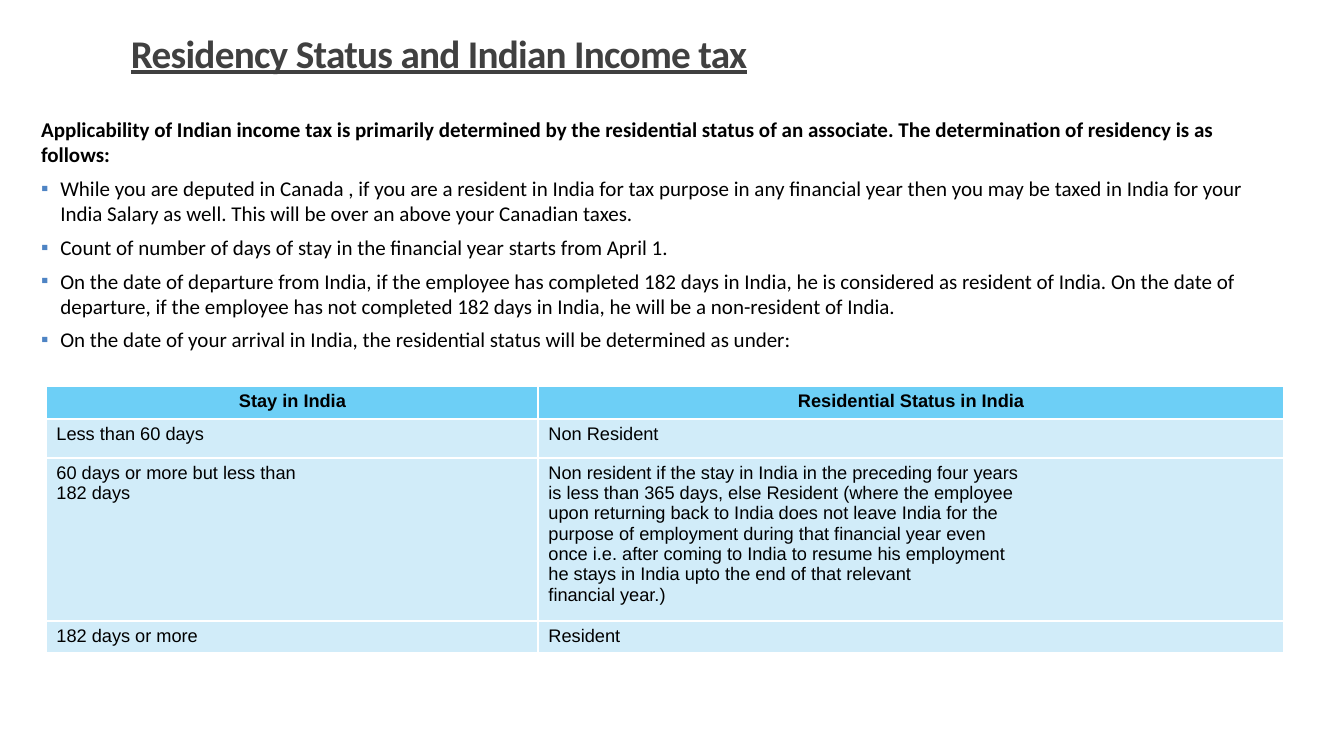
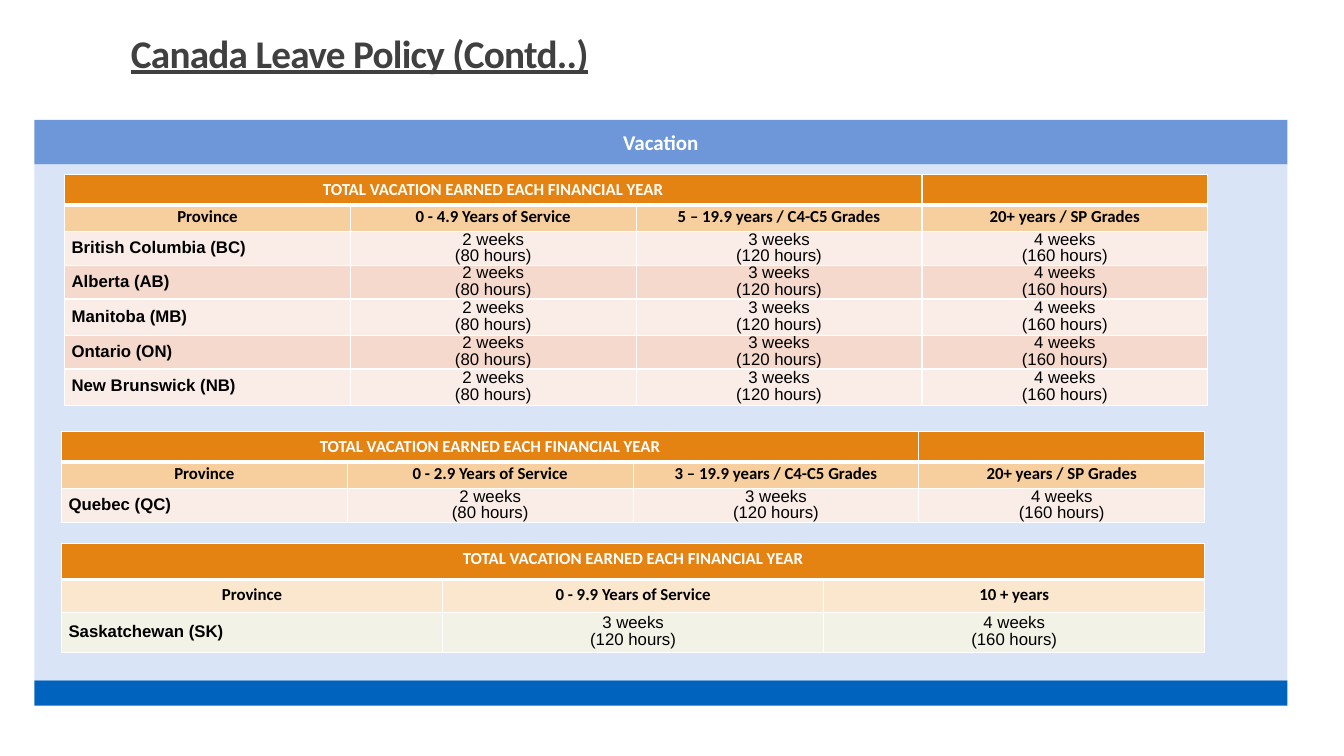
from dataclasses import dataclass

from lxml import etree
from pptx import Presentation
from pptx.dml.color import RGBColor
from pptx.enum.shapes import MSO_SHAPE
from pptx.enum.text import MSO_ANCHOR, PP_ALIGN
from pptx.oxml.ns import qn
from pptx.util import Inches, Pt

BLACK = RGBColor(0x00, 0x00, 0x00)
WHITE = RGBColor(0xFF, 0xFF, 0xFF)
TITLE_GRAY = RGBColor(0x40, 0x40, 0x40)
BULLET_BLUE = RGBColor(0x4E, 0x84, 0xC4)
SKY = RGBColor(0x6D, 0xCF, 0xF6)
PALE_SKY = RGBColor(0xD1, 0xEC, 0xF9)
BANNER_BLUE = RGBColor(0x6D, 0x97, 0xD8)
FOOTER_BLUE = RGBColor(0x00, 0x63, 0xBE)
PANEL_BLUE = RGBColor(0xC1, 0xD2, 0xF1)
ORANGE = RGBColor(0xE4, 0x83, 0x12)
LIGHT_ORANGE = RGBColor(0xF7, 0xCE, 0x9D)
PALE_ORANGE = RGBColor(0xFB, 0xE6, 0xCE)
LIGHT_PINK = RGBColor(0xFA, 0xED, 0xE7)
PINK = RGBColor(0xF5, 0xD9, 0xCC)
IVORY = RGBColor(0xF3, 0xF2, 0xE6)

PANEL_LEFT, PANEL_WIDTH = 0.34, 12.43
VACATION_WIDTH = 11.34
HOURS_PER_WEEK = 40

INTRODUCTION = (
    "Applicability of Indian income tax is primarily determined by the residential "
    "status of an associate. The determination of residency is as follows:"
)
RESIDENCY_RULES = [
    "While you are deputed in Canada , if you are a resident in India for tax purpose "
    "in any financial year then you may be taxed in India for your India Salary as well. "
    "This will be over an above your Canadian taxes.",
    "Count of number of days of stay in the financial year starts from April 1.",
    "On the date of departure from India, if the employee has completed 182 days in India, "
    "he is considered as resident of India. On the date of departure, if the employee has "
    "not completed 182 days in India, he will be a non-resident of India.",
    "On the date of your arrival in India, the residential status will be determined as under:",
]
RESIDENCY_TABLE = [
    ("Stay in India", "Residential Status in India"),
    ("Less than 60 days", "Non Resident"),
    (
        "60 days or more but less than\n182 days",
        "Non resident if the stay in India in the preceding four years\n"
        "is less than 365 days, else Resident (where the employee\n"
        "upon returning back to India does not leave India for the\n"
        "purpose of employment during that financial year even\n"
        "once i.e. after coming to India to resume his employment\n"
        "he stays in India upto the end of that relevant\n"
        "financial year.)",
    ),
    ("182 days or more", "Resident"),
]
VACATION_HEADING = "TOTAL VACATION EARNED EACH FINANCIAL YEAR"


@dataclass
class CellStyle:
    fill: RGBColor
    size: int = 12
    font: str = "Calibri"
    color: RGBColor = BLACK
    bold: bool = True
    align: PP_ALIGN = PP_ALIGN.CENTER
    border: float = 1
    bottom_border: float = 1
    compact: bool = True


def set_font(paragraph, size, color, bold=False, name="Calibri"):
    font = paragraph.font
    font.size, font.bold, font.name = Pt(size), bold, name
    font.color.rgb = color


def add_text_box(slide, left, top, width, height):
    box = slide.shapes.add_textbox(Inches(left), Inches(top), Inches(width), Inches(height))
    box.text_frame.word_wrap = True
    return box.text_frame


def add_title(slide, text):
    paragraph = add_text_box(slide, 1.2, 0.31, 10.91, 0.65).paragraphs[0]
    paragraph.line_spacing = 0.85
    run = paragraph.add_run()
    run.text = text
    set_font(paragraph, 28, TITLE_GRAY, bold=True)
    paragraph.font.underline = True
    run._r.get_or_add_rPr().set("spc", "-50")


def add_bullet(paragraph):
    properties = paragraph._p.get_or_add_pPr()
    properties.set("marL", str(Inches(0.19)))
    properties.set("indent", str(-Inches(0.19)))
    color = etree.SubElement(properties, qn("a:buClr"))
    etree.SubElement(color, qn("a:srgbClr"), val=str(BULLET_BLUE))
    etree.SubElement(properties, qn("a:buFont"), typeface="Arial")
    etree.SubElement(properties, qn("a:buChar"), char="▪")


def add_panel(slide, top, height, color, alpha=None):
    """Add a rectangle as wide as the content, with alpha as percent opacity."""
    panel = slide.shapes.add_shape(
        MSO_SHAPE.RECTANGLE, Inches(PANEL_LEFT), Inches(top), Inches(PANEL_WIDTH), Inches(height)
    )
    panel.shadow.inherit = False
    panel.line.fill.background()
    panel.fill.solid()
    panel.fill.fore_color.rgb = color
    if alpha is not None:
        color_element = panel._element.spPr.find(qn("a:solidFill"))[0]
        etree.SubElement(color_element, qn("a:alpha"), val=str(alpha * 1000))
    return panel


def set_borders(cell, width, bottom_width):
    properties = cell._tc.get_or_add_tcPr()
    for side in "LRTB":
        points = bottom_width if side == "B" else width
        line = etree.SubElement(properties, qn(f"a:ln{side}"), w=str(Pt(points)))
        fill = etree.SubElement(line, qn("a:solidFill"))
        etree.SubElement(fill, qn("a:srgbClr"), val=str(WHITE))


def fill_cell(cell, text, style):
    set_borders(cell, style.border, style.bottom_border)
    cell.fill.solid()
    cell.fill.fore_color.rgb = style.fill
    paragraph = cell.text_frame.paragraphs[0]
    paragraph.alignment = style.align
    if style.compact:
        cell.vertical_anchor = MSO_ANCHOR.MIDDLE
        cell.margin_left = cell.margin_right = Inches(0.07)
        cell.margin_top = cell.margin_bottom = 0
        paragraph.line_spacing = Pt(12)
    for index, line in enumerate(text.split("\n")):
        if index:
            paragraph.add_line_break()
        if line:
            paragraph.add_run().text = line
    set_font(paragraph, style.size, style.color, style.bold, style.font)
    if not text:
        paragraph._p.get_or_add_endParaRPr().set("sz", str(style.size * 100))


def add_plain_table(slide, left, top, column_widths, row_heights):
    table = slide.shapes.add_table(
        len(row_heights), len(column_widths), Inches(left), Inches(top),
        Inches(sum(column_widths)), Inches(sum(row_heights)),
    ).table
    table.first_row = table.horz_banding = False
    for column, width in zip(table.columns, column_widths):
        column.width = Inches(width)
    for row, height in zip(table.rows, row_heights):
        row.height = Inches(height)
    return table


def add_vacation_table(slide, left, top, row_heights, labels, provinces, weeks, label_fill, fills):
    """Add a table with a heading over three columns and one row for each province."""
    count = len(labels)
    table = add_plain_table(slide, left, top, [VACATION_WIDTH / count] * count, row_heights)
    heading = CellStyle(ORANGE, color=WHITE, bottom_border=3, compact=False)
    label = CellStyle(label_fill)
    for column, text in enumerate(labels):
        fill_cell(table.cell(0, column), "" if column else VACATION_HEADING, heading)
        fill_cell(table.cell(1, column), text, label)
    table.cell(0, 0).merge(table.cell(0, 2))
    for index, province in enumerate(provinces):
        fill = fills[index % len(fills)]
        row = index + 2
        name_style = CellStyle(fill, font="Arial", align=PP_ALIGN.LEFT)
        fill_cell(table.cell(row, 0), province, name_style)
        amount_style = CellStyle(fill, font="Arial", bold=False)
        for column, number in enumerate(weeks, 1):
            amount = f"{number} weeks\n({number * HOURS_PER_WEEK} hours)"
            fill_cell(table.cell(row, column), amount, amount_style)


def add_residency_slide(presentation):
    slide = presentation.slides.add_slide(presentation.slide_layouts[6])
    add_title(slide, "Residency Status and Indian Income tax")
    frame = add_text_box(slide, 0.31, 1.11, 12.23, 2.57)
    introduction = frame.paragraphs[0]
    introduction.text = INTRODUCTION
    set_font(introduction, 15, BLACK, bold=True)
    for rule in RESIDENCY_RULES:
        paragraph = frame.add_paragraph()
        paragraph.text = rule
        paragraph.space_before = Pt(6)
        add_bullet(paragraph)
        set_font(paragraph, 15, BLACK)

    table = add_plain_table(slide, 0.46, 3.83, [4.88, 7.39], [0.33, 0.38, 1.61, 0.32])
    shared = dict(size=13, font="Arial", border=1.5, bottom_border=1.5, compact=False)
    header = CellStyle(SKY, **shared)
    body = CellStyle(PALE_SKY, bold=False, align=PP_ALIGN.LEFT, **shared)
    for row, texts in enumerate(RESIDENCY_TABLE):
        for column, text in enumerate(texts):
            fill_cell(table.cell(row, column), text, body if row else header)


def add_leave_slide(presentation):
    slide = presentation.slides.add_slide(presentation.slide_layouts[6])
    add_title(slide, "Canada Leave Policy (Contd..)")
    banner = add_panel(slide, 1.19, 0.44, BANNER_BLUE)
    banner.text_frame.vertical_anchor = MSO_ANCHOR.MIDDLE
    paragraph = banner.text_frame.paragraphs[0]
    paragraph.text = "Vacation"
    paragraph.alignment = PP_ALIGN.CENTER
    set_font(paragraph, 15, WHITE, bold=True)
    add_panel(slide, 6.75, 0.25, FOOTER_BLUE)
    add_panel(slide, 1.63, 5.12, PANEL_BLUE, alpha=60)

    add_vacation_table(
        slide, 0.64, 1.73, [0.3, 0.27, 0.33, 0.33, 0.36, 0.33, 0.36],
        ["Province", "0 - 4.9 Years of Service", "5 – 19.9 years / C4-C5 Grades",
         "20+ years / SP Grades"],
        ["British Columbia (BC)", "Alberta (AB)", "Manitoba (MB)", "Ontario (ON)",
         "New Brunswick (NB)"],
        [2, 3, 4], LIGHT_ORANGE, [LIGHT_PINK, PINK],
    )
    add_vacation_table(
        slide, 0.61, 4.28, [0.3, 0.27, 0.33],
        ["Province", "0 - 2.9 Years of Service", "3 – 19.9 years / C4-C5 Grades",
         "20+ years / SP Grades"],
        ["Quebec (QC)"], [2, 3, 4], LIGHT_ORANGE, [LIGHT_PINK],
    )
    add_vacation_table(
        slide, 0.61, 5.39, [0.36, 0.33, 0.39],
        ["Province", "0 - 9.9 Years of Service", "10 + years"],
        ["Saskatchewan (SK)"], [3, 4], PALE_ORANGE, [IVORY],
    )


def main():
    presentation = Presentation()
    presentation.slide_width = Inches(13.33)
    presentation.slide_height = Inches(7.5)
    add_residency_slide(presentation)
    add_leave_slide(presentation)
    presentation.save("out.pptx")


if __name__ == "__main__":
    main()
